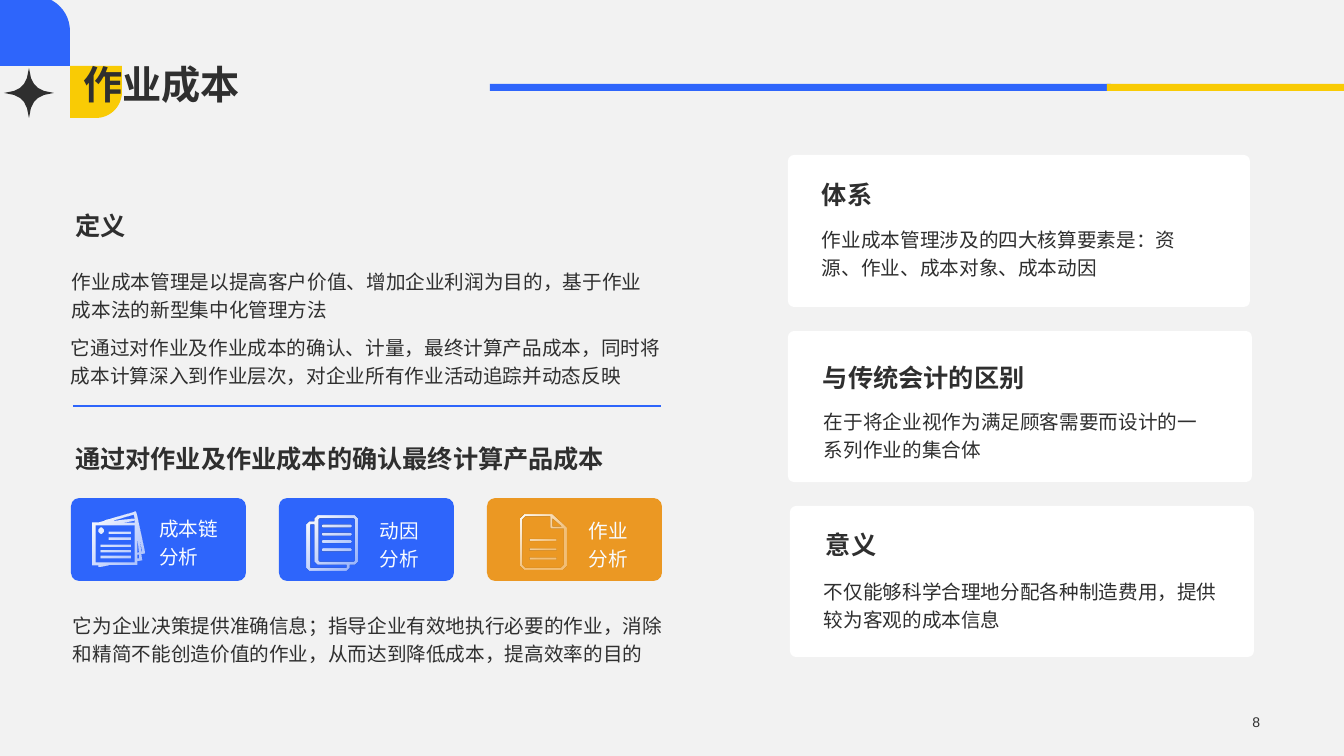
from pptx import Presentation
from pptx import util as u
from pptx.dml.color import RGBColor
from pptx.enum import shapes, text
from pptx.oxml import parse_xml
from pptx.oxml.ns import nsdecls

PX = 914400 / 100.8
BLUE = RGBColor(0x2E, 0x65, 0xFB)
YELLOW = RGBColor(0xF9, 0xCB, 0x05)
ORANGE = RGBColor(0xEB, 0x98, 0x23)
INK = RGBColor(0x2F, 0x2F, 0x2F)
PALE = RGBColor(0xF9, 0xFC, 0xFF)
WHITE = RGBColor(0xFF, 0xFF, 0xFF)
GREY = RGBColor(0xF2, 0xF2, 0xF2)
CJK = "Noto Sans CJK SC"


def emu(*lengths):
    return [u.Emu(round(n * PX)) for n in lengths]


def box(left, top, right, bottom, cut=0):
    """Corner points of a rectangle, with its corners cut off if cut is given."""
    if not cut:
        return [(left, top), (right, top), (right, bottom), (left, bottom)]
    return [(left + cut, top), (right - cut, top), (right, top + cut), (right, bottom - cut),
            (right - cut, bottom), (left + cut, bottom), (left, bottom - cut), (left, top + cut)]


prs = Presentation()
prs.slide_width, prs.slide_height = emu(1344, 756)
s = prs.slides.add_slide(prs.slide_layouts[5])
s.background.fill.solid()
s.background.fill.fore_color.rgb = GREY

# Corner blocks, header bars, analysis buttons and white cards
RECT = shapes.MSO_SHAPE.RECTANGLE
CORNER = shapes.MSO_SHAPE.ROUND_1_RECTANGLE
ROUND = shapes.MSO_SHAPE.ROUNDED_RECTANGLE
blocks = [
    (CORNER, 0.5, 90, YELLOW, (70, 66, 52, 52)),
    (CORNER, 0.5, 0, BLUE, (0, -4, 70, 70)),
    (RECT, None, 0, BLUE, (490, 84, 621, 7)),
    (RECT, None, 0, YELLOW, (1107, 84, 237, 7)),
    (ROUND, 0.04, 0, WHITE, (788, 155, 462, 152)),
    (ROUND, 0.04, 0, WHITE, (788, 331, 464, 151)),
    (ROUND, 0.04, 0, WHITE, (790, 506, 464, 151)),
]
for i, color in enumerate((BLUE, BLUE, ORANGE)):
    blocks.append((ROUND, 0.1, 0, color, (71 + 208 * i, 498, 175, 83)))
for preset, adjust, rotation, color, place in blocks:
    sp = s.shapes.add_shape(preset, *emu(*place))
    sp.shadow.inherit = False
    sp.rotation = rotation
    if adjust:
        sp.adjustments[0] = adjust
    sp.fill.solid()
    sp.fill.fore_color.rgb = color
    sp.line.fill.background()

divider = s.shapes.add_connector(shapes.MSO_CONNECTOR.STRAIGHT, *emu(73, 406, 661, 406))
divider.line.color.rgb = BLUE
divider.line.width = u.Pt(2)
divider._element.spPr.append(parse_xml(f"<a:effectLst {nsdecls('a')}/>"))

# Star and button icons: inner contours are holes, contours inside a hole are filled
ray = [(0, -25), (2, -15), (5, -9), (9, -5), (15, -2)]
star = [[point for turn in range(4) for point in
         [((x, y), (-y, x), (-x, -y), (y, -x))[turn] for x, y in ray]]]
papers = [
    [(42, 0), (51, 41), (47, 42), (48, 48), (43, 49), (43, 53), (16, 53), (6, 55),
     (6, 53), (0, 53), (0, 11), (6, 11)],
    [(41, 9), (31, 11), (41, 11)], [(40, 3), (18, 10), (41, 7)],
    [(45, 25), (47, 39), (48, 39)], [(43, 25), (43, 41), (45, 40)],
    box(43, 43, 45, 46), box(3, 14, 41, 50), box(6, 16, 11, 22, 2),
    *[box(left, top, 37, top + 2) for left, top in
      ((16, 20), (16, 26), (8, 33), (8, 38), (8, 44))],
]
copies = [
    [(11, 0), (47, 0), (50, 3), (50, 45), (47, 48), (42, 48), (42, 51), (39, 54),
     (3, 54), (0, 51), (0, 9), (3, 6), (8, 6), (8, 3)],
    [(4, 9), (8, 9), (8, 45), (11, 48), (39, 48), (39, 51), (4, 51)],
    box(12, 3, 47, 45, 1),
    *[box(15, top, 44, top + 3, 1) for top in (9, 17, 24, 32)],
]
page = [
    [(4, 0), (31, 0), (45, 13), (45, 50), (41, 54), (4, 54), (0, 50), (0, 4)],
    [(42, 14), (30, 14), (29, 13), (29, 2), (5, 2), (2, 5), (2, 49), (5, 52),
     (39, 52), (42, 49)],
    [(31, 4), (31, 12), (40, 12)],
    *[box(9, top, 35, top + 2) for top in (24, 33, 42)],
]
RADIAL = '<a:path path="circle"><a:fillToRect r="100000" b="100000"/></a:path>'
DIAGONAL = '<a:lin ang="2700000" scaled="0"/>'
for contours, place, fade in (
    (star, (29, 93), None),
    (papers, (93, 512), (100, 57, RADIAL)),
    (copies, (307, 516), (99, 48, RADIAL)),
    (page, (521, 515), (60, 38, DIAGONAL)),
):
    outline = s.shapes.build_freeform(*contours[0][0], scale=PX)
    outline.add_line_segments(contours[0][1:])
    for contour in contours[1:]:
        outline.move_to(*contour[0])
        outline.add_line_segments(contour[1:])
    sp = outline.convert_to_shape(*emu(*place))
    sp.shadow.inherit = False
    sp.line.fill.background()
    if fade:
        end, opacity, direction = fade
        sp._element.spPr.insert(2, parse_xml(
            f'<a:gradFill {nsdecls("a")}><a:gsLst>'
            f'<a:gs pos="0"><a:srgbClr val="{WHITE}"/></a:gs>'
            f'<a:gs pos="{end * 1000}"><a:srgbClr val="{WHITE}">'
            f'<a:alpha val="{opacity * 1000}"/></a:srgbClr></a:gs>'
            f'</a:gsLst>{direction}</a:gradFill>'))
    else:
        sp.fill.solid()
        sp.fill.fore_color.rgb = INK

# Headings, paragraphs and button labels: height, size, bold, colour, line spacing
HEADING = (30, 18, True, INK, 1.0)
BODY = (54, 14, False, INK, 1.2)
LABEL = (54, 14, False, PALE, 1.2)
for style, x, y, width, words in (
    (HEADING, 75, 210, 71, "定义"),
    (BODY, 72, 265, 589, "作业成本管理是以提高客户价值、增加企业利润为目的，基于作业成本法的新型集中化管理方法"),
    (BODY, 71, 331, 590, "它通过对作业及作业成本的确认、计量，最终计算产品成本，同时将成本计算深入到作业层次，对企业所有作业活动追踪并动态反映"),
    (HEADING, 75, 443, 543, "通过对作业及作业成本的确认最终计算产品成本"),
    (LABEL, 159, 512, 66, "成本链分析"),
    (LABEL, 380, 514, 51, "动因分析"),
    (LABEL, 589, 514, 51, "作业分析"),
    (BODY, 73, 609, 599, "它为企业决策提供准确信息；指导企业有效地执行必要的作业，消除和精简不能创造价值的作业，从而达到降低成本，提高效率的目的"),
    (HEADING, 822, 179, 68, "体系"),
    (BODY, 822, 223, 368, "作业成本管理涉及的四大核算要素是：资源、作业、成本对象、成本动因"),
    (HEADING, 823, 362, 320, "与传统会计的区别"),
    (BODY, 824, 405, 383, "在于将企业视作为满足顾客需要而设计的一系列作业的集合体"),
    (HEADING, 826, 529, 71, "意义"),
    (BODY, 824, 575, 397, "不仅能够科学合理地分配各种制造费用，提供较为客观的成本信息"),
):
    height, size, bold, color, spacing = style
    tf = s.shapes.add_textbox(*emu(x, y, width, height)).text_frame
    tf.word_wrap = True
    tf.margin_left = tf.margin_top = tf.margin_right = tf.margin_bottom = 0
    p = tf.paragraphs[0]
    p.line_spacing = spacing
    r = p.add_run()
    r.text = words
    r.font.name, r.font.size, r.font.bold = CJK, u.Pt(size), bold
    r.font.color.rgb = color
    r.font._element.append(parse_xml(f'<a:ea {nsdecls("a")} typeface="{CJK}"/>'))

# Title and page number
title = s.shapes.title
title.left, title.top, title.width, title.height = emu(73, 0, 1197, 113)
number = s.shapes.add_textbox(*emu(977, 710, 293, 24))
for sp, words, size, bold, anchor, align, spacing in (
    (title, "作业成本", 28, True, text.MSO_ANCHOR.BOTTOM, text.PP_ALIGN.LEFT, 0.9),
    (number, "8", 10, False, text.MSO_ANCHOR.MIDDLE, text.PP_ALIGN.RIGHT, 1.0),
):
    tf = sp.text_frame
    tf.word_wrap = True
    tf.auto_size = text.MSO_AUTO_SIZE.NONE
    tf.vertical_anchor = anchor
    p = tf.paragraphs[0]
    p.alignment, p.line_spacing = align, spacing
    r = p.add_run()
    r.text = words
    r.font.name, r.font.size, r.font.bold = "Arial", u.Pt(size), bold
    r.font.color.rgb = INK

# The title lies in front of the corner blocks
s.shapes._spTree.append(title._element)

prs.save("out.pptx")
